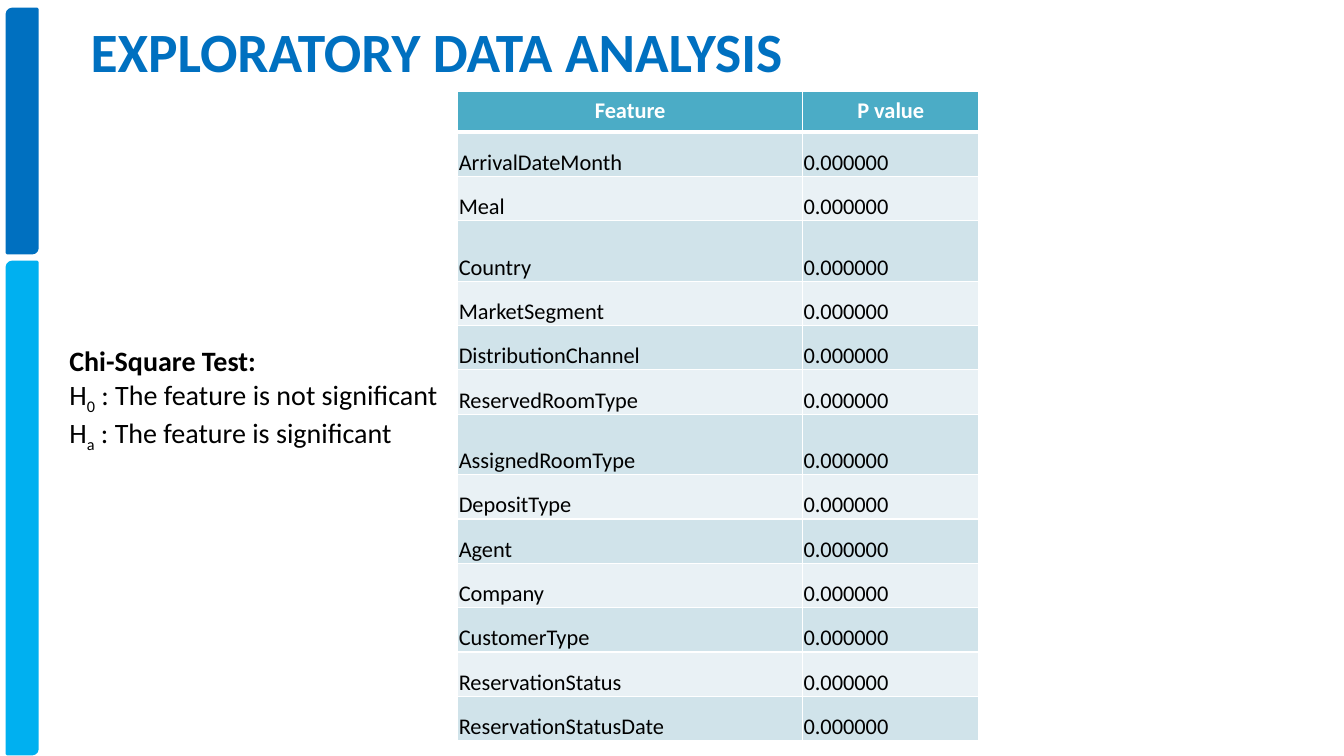
from lxml import etree
from pptx import Presentation
from pptx.dml.color import RGBColor
from pptx.enum.shapes import MSO_SHAPE
from pptx.enum.text import MSO_ANCHOR, PP_ALIGN
from pptx.oxml.ns import qn
from pptx.util import Inches, Pt

ROUND_DIAGONAL = MSO_SHAPE.ROUND_2_DIAG_RECTANGLE
MIDDLE = MSO_ANCHOR.MIDDLE
BOTTOM = MSO_ANCHOR.BOTTOM
CENTER = PP_ALIGN.CENTER
FEATURES = [
    "ArrivalDateMonth", "Meal", "Country", "MarketSegment", "DistributionChannel",
    "ReservedRoomType", "AssignedRoomType", "DepositType", "Agent", "Company",
    "CustomerType", "ReservationStatus", "ReservationStatusDate",
]
TALL_ROWS = {"Country", "AssignedRoomType"}


def format_font(font, size, color, bold=False):
    font.name = "Calibri"
    font.size = Pt(size)
    font.bold = bold
    font.color.rgb = RGBColor.from_string(color)


def add_white_border(cell, side, width):
    """Draw one cell side (L, R, T or B); call before the cell is filled."""
    properties = cell._tc.get_or_add_tcPr()
    line = etree.SubElement(properties, qn(f"a:ln{side}"), w=str(Pt(width)))
    fill = etree.SubElement(line, qn("a:solidFill"))
    etree.SubElement(fill, qn("a:srgbClr"), val="FFFFFF")


presentation = Presentation()
presentation.slide_width = Inches(13.33)
presentation.slide_height = Inches(7.5)
slide = presentation.slides.add_slide(presentation.slide_layouts[6])

# Side bars
for top, height, color in [(0.09, 2.42, "0070C0"), (2.6, 4.88, "00B0F0")]:
    bar = slide.shapes.add_shape(
        ROUND_DIAGONAL, Inches(0.07), Inches(top), Inches(0.3), Inches(height))
    bar.shadow.inherit = False
    bar.fill.solid()
    bar.fill.fore_color.rgb = RGBColor.from_string(color)
    bar.line.color.rgb = RGBColor.from_string(color)
    bar.line.width = Pt(2)

# Title
title = slide.shapes.add_textbox(Inches(0.8), Inches(0.08), Inches(12), Inches(0.83))
title.text_frame.word_wrap = True
title.text_frame.vertical_anchor = MIDDLE
title.text_frame.text = "EXPLORATORY DATA ANALYSIS"
format_font(title.text_frame.paragraphs[0].runs[0].font, 39.6, "0070C0", True)

# Hypotheses
hypotheses = slide.shapes.add_textbox(Inches(0.59), Inches(3.36), Inches(11.2), Inches(1.11))
frame = hypotheses.text_frame
frame.word_wrap = True
frame.text = "Chi-Square Test:"
format_font(frame.paragraphs[0].runs[0].font, 20, "000000", True)
for subscript, statement in [
    ("0", " : The feature is not significant"),
    ("a", " : The feature is significant"),
]:
    paragraph = frame.add_paragraph()
    for text in ("H", subscript, statement):
        run = paragraph.add_run()
        run.text = text
        format_font(run.font, 20, "000000")
    paragraph.runs[1].font._element.set("baseline", "-25000")

# Table of p values
rows = [("Feature", "P value")] + [(feature, "0.000000") for feature in FEATURES]
heights = [0.4] + [0.6 if feature in TALL_ROWS else 0.44 for feature in FEATURES]
table = slide.shapes.add_table(
    len(rows), 2, Inches(4.54), Inches(0.91), Inches(5.17), Inches(sum(heights))).table
table.columns[0].width = Inches(3.42)
table.columns[1].width = Inches(1.75)

for row_index, (values, height) in enumerate(zip(rows, heights)):
    table.rows[row_index].height = Inches(height)
    is_header = row_index == 0
    for column_index, value in enumerate(values):
        cell = table.cell(row_index, column_index)
        for side in "LRTB":
            below_header = (row_index, side) in [(0, "B"), (1, "T")]
            add_white_border(cell, side, 3 if below_header else 1)
        cell.text = value
        paragraph = cell.text_frame.paragraphs[0]
        if is_header:
            fill_color, text_color = "4BACC6", "FFFFFF"
            paragraph.alignment = CENTER
        else:
            fill_color = "D0E3EA" if row_index % 2 else "E9F1F5"
            text_color = "000000"
            cell.vertical_anchor = BOTTOM
            cell.margin_left = cell.margin_right = cell.margin_top = Inches(0.01)
            cell.margin_bottom = 0
        cell.fill.solid()
        cell.fill.fore_color.rgb = RGBColor.from_string(fill_color)
        format_font(paragraph.runs[0].font, 16, text_color, is_header)

presentation.save("out.pptx")
